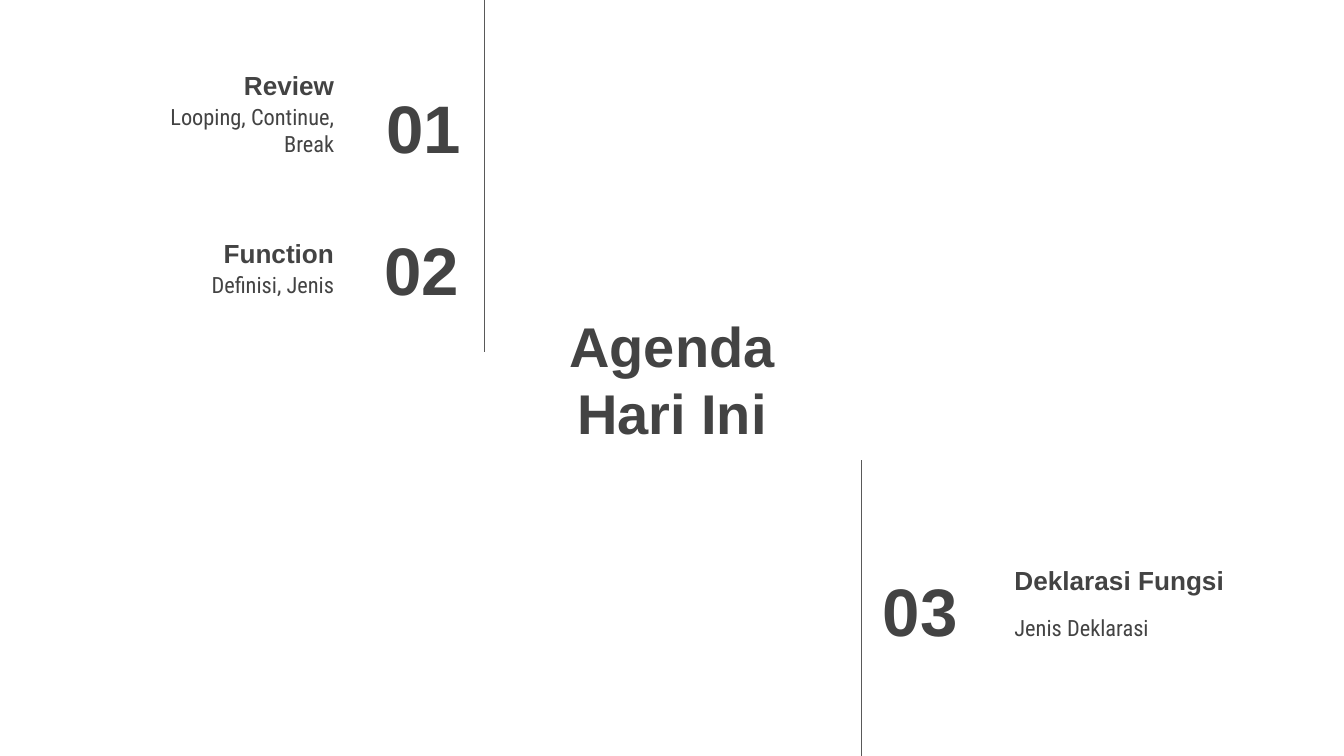
import pptx
import pptx.util
import pptx.dml.color
import pptx.enum.shapes
import pptx.enum.text
import lxml.etree

INK = pptx.dml.color.RGBColor(0x43, 0x43, 0x43)
RULE = pptx.dml.color.RGBColor(0x59, 0x59, 0x59)
PAPER = pptx.dml.color.RGBColor(0xFF, 0xFF, 0xFF)
HEADING_FONT = "Arial"
BODY_FONT = "Roboto Condensed"

ALIGN = pptx.enum.text.PP_ALIGN
ANCHOR = pptx.enum.text.MSO_ANCHOR

# A 16:9 page on a grid of 100 columns and 100 rows
WIDTH = 10
HEIGHT = WIDTH * 9 / 16
COLUMN, ROW = WIDTH / 100, HEIGHT / 100
LINE_HEIGHT = 11.2  # rows taken by a one-line box


class AgendaSlide:
    def __init__(self, deck):
        self.slide = deck.slides.add_slide(deck.slide_layouts[6])
        self.slide.background.fill.solid()
        self.slide.background.fill.fore_color.rgb = PAPER

    def place(self, column, row):
        return pptx.util.Inches(column * COLUMN), pptx.util.Inches(row * ROW)

    def text(self, area, words, size, align, anchor, font=HEADING_FONT):
        left, top, width, height = area
        box = self.slide.shapes.add_textbox(*self.place(left, top), *self.place(width, height))
        frame = box.text_frame
        frame.word_wrap = True
        frame.vertical_anchor = anchor
        frame.margin_left = frame.margin_right = pptx.util.Inches(0.1)
        frame.margin_top = frame.margin_bottom = pptx.util.Inches(0.1)
        frame.text = words
        para = frame.paragraphs[0]
        para.alignment = align
        span = para.runs[0]
        span.font.name = font
        span.font.size = pptx.util.Pt(size)
        span.font.bold = font == HEADING_FONT
        span.font.color.rgb = INK

    def title(self, area, words):
        self.text(area, words, 30, ALIGN.CENTER, ANCHOR.MIDDLE)

    def number(self, area, words, align):
        self.text(area, words, 36, align, ANCHOR.MIDDLE)

    def heading(self, area, words, align):
        self.text(area, words, 14, align, ANCHOR.BOTTOM)

    def detail(self, area, words, align):
        self.text(area, words, 12, align, ANCHOR.TOP, BODY_FONT)

    def vertical_rule(self, column, top, bottom):
        line = self.slide.shapes.add_connector(
            pptx.enum.shapes.MSO_CONNECTOR.STRAIGHT,
            *self.place(column, top), *self.place(column, bottom))
        line.line.color.rgb = RULE
        line.line.width = pptx.util.Pt(0.75)
        properties = line._element.spPr
        namespace = lxml.etree.QName(properties.find(".//{*}ln")).namespace
        lxml.etree.SubElement(properties, "{%s}effectLst" % namespace)


def main():
    deck = pptx.Presentation()
    deck.slide_width = pptx.util.Inches(WIDTH)
    deck.slide_height = pptx.util.Inches(HEIGHT)
    page = AgendaSlide(deck)

    # Title in the centre
    page.title((37.05, 40.9, 25.9, 18.3), "Agenda Hari Ini")

    # Agenda items: alignment, then (words, left, top, width) of each part,
    # and the height of the detail box
    items = [
        (ALIGN.RIGHT, ("01", 23.2, 11.1, 12.1), ("Review", -1.9, 3.9, 27.75),
         ("Looping, Continue, Break", 7.65, 11.9, 18.2), LINE_HEIGHT),
        (ALIGN.RIGHT, ("02", 23.05, 30, 12.1), ("Function", 4.3, 26.1, 21.55),
         ("Definisi, Jenis", 7.65, 34.1, 18.2), LINE_HEIGHT),
        (ALIGN.LEFT, ("03", 64.7, 75, 11.7), ("Deklarasi Fungsi", 74.5, 69.4, 18.3),
         ("Jenis Deklarasi", 74.5, 79.5, 19.7), 14.4),
    ]
    for align, number, heading, detail, detail_height in items:
        parts = [(page.number, number, LINE_HEIGHT),
                 (page.heading, heading, LINE_HEIGHT),
                 (page.detail, detail, detail_height)]
        for draw, (words, left, top, width), height in parts:
            draw((left, top, width, height), words, align)

    # Rules beside the numbers
    page.vertical_rule(36.05, 0, 46.6)
    page.vertical_rule(64.1, 60.9, 100)

    deck.save("out.pptx")


if __name__ == "__main__":
    main()
